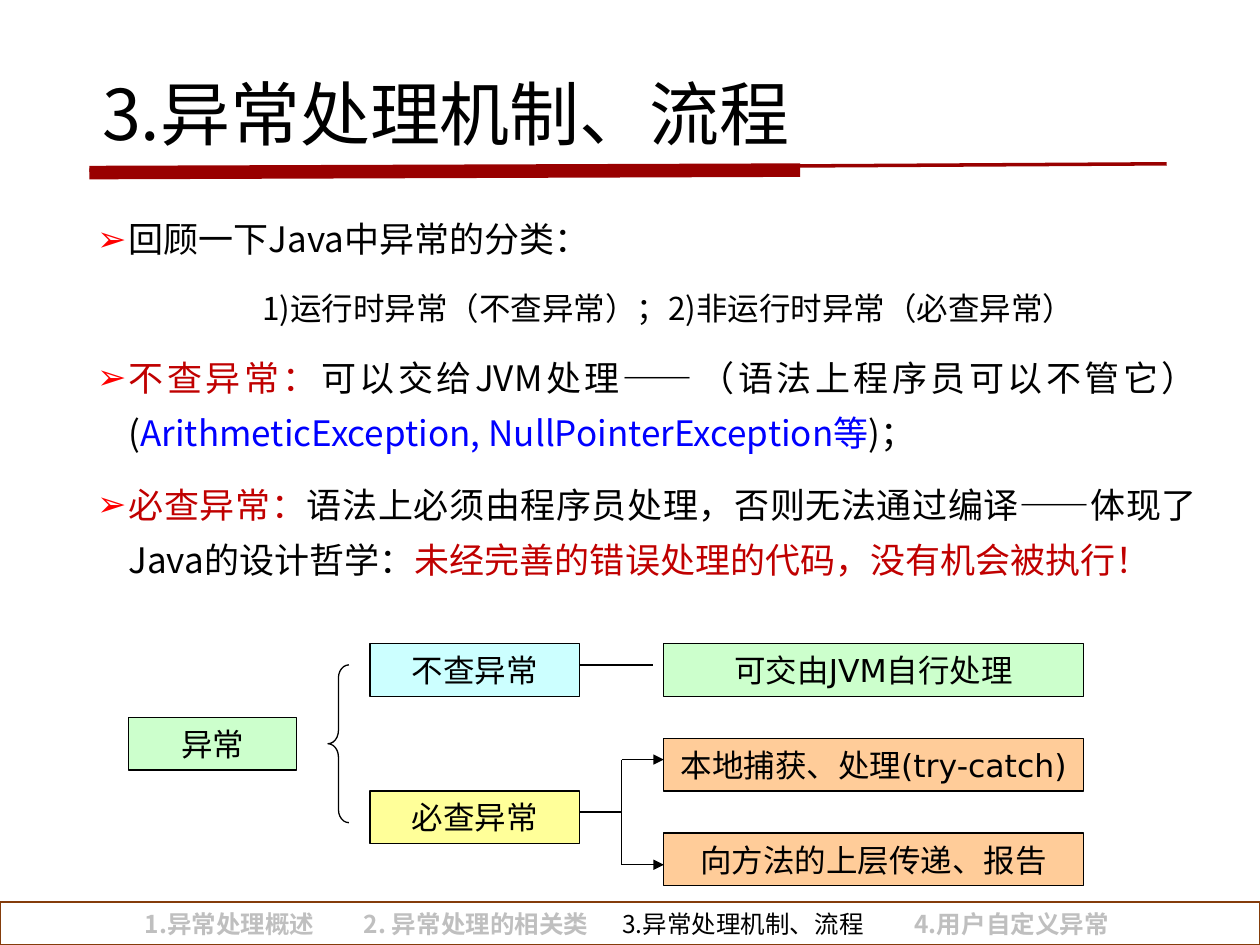
from dataclasses import dataclass
from lxml.etree import SubElement as Sub
from pptx import Presentation
from pptx.dml.color import RGBColor as RGB
from pptx.enum.shapes import MSO_CONNECTOR as Conn, MSO_SHAPE as Geo
from pptx.enum.text import MSO_ANCHOR as Anchor, MSO_AUTO_SIZE as Fit, PP_ALIGN as Align
from pptx.oxml.ns import qn
from pptx.util import Inches, Pt


@dataclass(frozen=True)
class Theme:
    ink: str = "000000"
    rule: str = "990000"
    red: str = "C00000"
    blue: str = "0000FF"
    mark: str = "FF0000"
    dim: str = "BFBFBF"
    edge: str = "843C0B"
    green: str = "CCFFCC"
    cyan: str = "CCFFFF"
    yellow: str = "FFFF99"
    orange: str = "FFCC99"
    sans: str = "Noto Sans CJK SC"
    label: str = "DejaVu Sans"
    head: int = 40
    body: int = 20
    small: int = 18
    foot: int = 14


T = Theme()


def style(para, size, name=T.sans):
    font = para.font
    font.size = Pt(size)
    font.color.rgb = RGB.from_string(T.ink)
    font.name = name
    Sub(para._p.pPr.find(qn("a:defRPr")), qn("a:ea"), typeface=T.sans)


def write(para, parts):
    for text, color in parts:
        run = para.add_run()
        run.text = text
        if color:
            run.font.color.rgb = RGB.from_string(color)


def place(shape, box):
    shape.left, shape.top, shape.width, shape.height = map(Inches, box)


def link(slide, start, end, color=T.ink, width=0.75, arrow=False):
    line = slide.shapes.add_connector(Conn.STRAIGHT, *map(Inches, (*start, *end)))
    line.line.color.rgb = RGB.from_string(color)
    line.line.width = Pt(width)
    if arrow:
        Sub(line.line._get_or_add_ln(), qn("a:tailEnd"), type="triangle")
    Sub(line._element.spPr, qn("a:effectLst"))


def form(slide, kind, box, fill=None, edge=T.ink):
    shape = slide.shapes.add_shape(kind, *map(Inches, box))
    shape.shadow.inherit = False
    if fill:
        shape.fill.solid()
        shape.fill.fore_color.rgb = RGB.from_string(fill)
    else:
        shape.fill.background()
    shape.line.color.rgb = RGB.from_string(edge)
    shape.line.width = Pt(0.75)
    return shape


def header(slide, box):
    x, y, w, h = box
    link(slide, (x, y + 0.84), (x + 8.55, y + 0.79), T.rule, 2)
    link(slide, (x, y + 0.86), (x + 5.64, y + 0.84), T.rule, 7.75)
    title = slide.shapes.title
    place(title, box)
    frame = title.text_frame
    frame.text = "3.异常处理机制、流程"
    frame.word_wrap = False
    frame.auto_size = Fit.SHAPE_TO_FIT_TEXT
    frame.vertical_anchor = Anchor.MIDDLE
    para = frame.paragraphs[0]
    para.alignment = Align.LEFT
    style(para, T.head)


def points(slide, box):
    body = slide.placeholders[1]
    place(body, box)
    frame = body.text_frame
    frame.word_wrap = True
    frame.auto_size = Fit.SHAPE_TO_FIT_TEXT
    items = [
        (True, [("回顾一下Java中异常的分类：", None)]),
        (False, [("1)运行时异常（不查异常）；2)非运行时异常（必查异常）", None)]),
        (True, [("不查异常：", T.red),
                ("可以交给JVM处理——（语法上程序员可以不管它）(", None),
                ("ArithmeticException, NullPointerException等", T.blue),
                (")；", None)]),
        (True, [("必查异常：", T.red),
                ("语法上必须由程序员处理，否则无法通过编译——体现了Java的设计哲学：", None),
                ("未经完善的错误处理的代码，没有机会被执行！", T.red)]),
    ]
    for i, (top, parts) in enumerate(items):
        para = frame.add_paragraph() if i else frame.paragraphs[0]
        props = para._p.get_or_add_pPr()
        props.set("marL", str(Inches(0.25 if top else 1.31)))
        props.set("indent", str(Inches(-0.25 if top else 0)))
        if top:
            Sub(Sub(props, qn("a:buClr")), qn("a:srgbClr"), val=T.mark)
            Sub(props, qn("a:buChar"), char="➢")
        else:
            Sub(props, qn("a:buNone"))
        para.alignment = Align.JUSTIFY
        para.line_spacing = 1.3
        para.space_before = Pt(10 if i else 0)
        style(para, T.body if top else T.small)
        write(para, parts)


def tree(slide, box):
    x, y, w, h = box
    cols, rows = 91, 23

    def at(col, row):
        return x + w * col / cols, y + h * row / rows

    def area(col, row, wide, high):
        return *at(col, row), w * wide / cols, h * high / rows

    brace = form(slide, Geo.LEFT_BRACE, area(19, 2, 2, 15))
    brace.adjustments[0] = 0.625
    nodes = [
        ("异常", 0, 7, 16, T.green),
        ("不查异常", 23, 0, 20, T.cyan),
        ("必查异常", 23, 14, 20, T.yellow),
        ("可交由JVM自行处理", 51, 0, 40, T.green),
        ("本地捕获、处理(try-catch)", 51, 9, 40, T.orange),
        ("向方法的上层传递、报告", 51, 18, 40, T.orange),
    ]
    for text, col, row, wide, fill in nodes:
        frame = form(slide, Geo.RECTANGLE, area(col, row, wide, 5), fill).text_frame
        frame.text = text
        frame.word_wrap = False
        frame.vertical_anchor = Anchor.MIDDLE
        para = frame.paragraphs[0]
        para.alignment = Align.CENTER
        style(para, T.small, T.label)
    lines = [
        ((43, 2), (50, 2), False),
        ((43, 16), (47, 16), False),
        ((47, 11), (47, 21), False),
        ((47, 11), (51, 11), True),
        ((47, 21), (51, 21), True),
    ]
    for start, end, arrow in lines:
        link(slide, at(*start), at(*end), arrow=arrow)


def footer(slide, box):
    frame = form(slide, Geo.RECTANGLE, box, edge=T.edge).text_frame
    frame.word_wrap = True
    frame.vertical_anchor = Anchor.MIDDLE
    para = frame.paragraphs[0]
    para.alignment = Align.LEFT
    tabs = Sub(para._p.get_or_add_pPr(), qn("a:tabLst"))
    for stop in (1.05, 2.79, 4.84, 7.16):
        Sub(tabs, qn("a:tab"), pos=str(Inches(stop)), algn="l")
    style(para, T.foot)
    names = ["1.异常处理概述", "2. 异常处理的相关类", "3.异常处理机制、流程", "4.用户自定义异常"]
    now = 2
    write(para, [("\t" + name, None if i == now else T.dim) for i, name in enumerate(names)])
    for i, run in enumerate(para.runs):
        run.font.bold = i != now


def main():
    deck = Presentation()
    deck.slide_width, deck.slide_height = Inches(10), Inches(7.5)
    slide = deck.slides.add_slide(deck.slide_layouts[1])
    header(slide, (0.71, 0.51, 6.04, 0.77))
    points(slide, (0.67, 1.58, 8.93, 3.15))
    tree(slide, (1.02, 5.11, 7.58, 1.92))
    footer(slide, (0, 7.16, 10, 0.34))
    deck.save("out.pptx")


if __name__ == "__main__":
    main()
